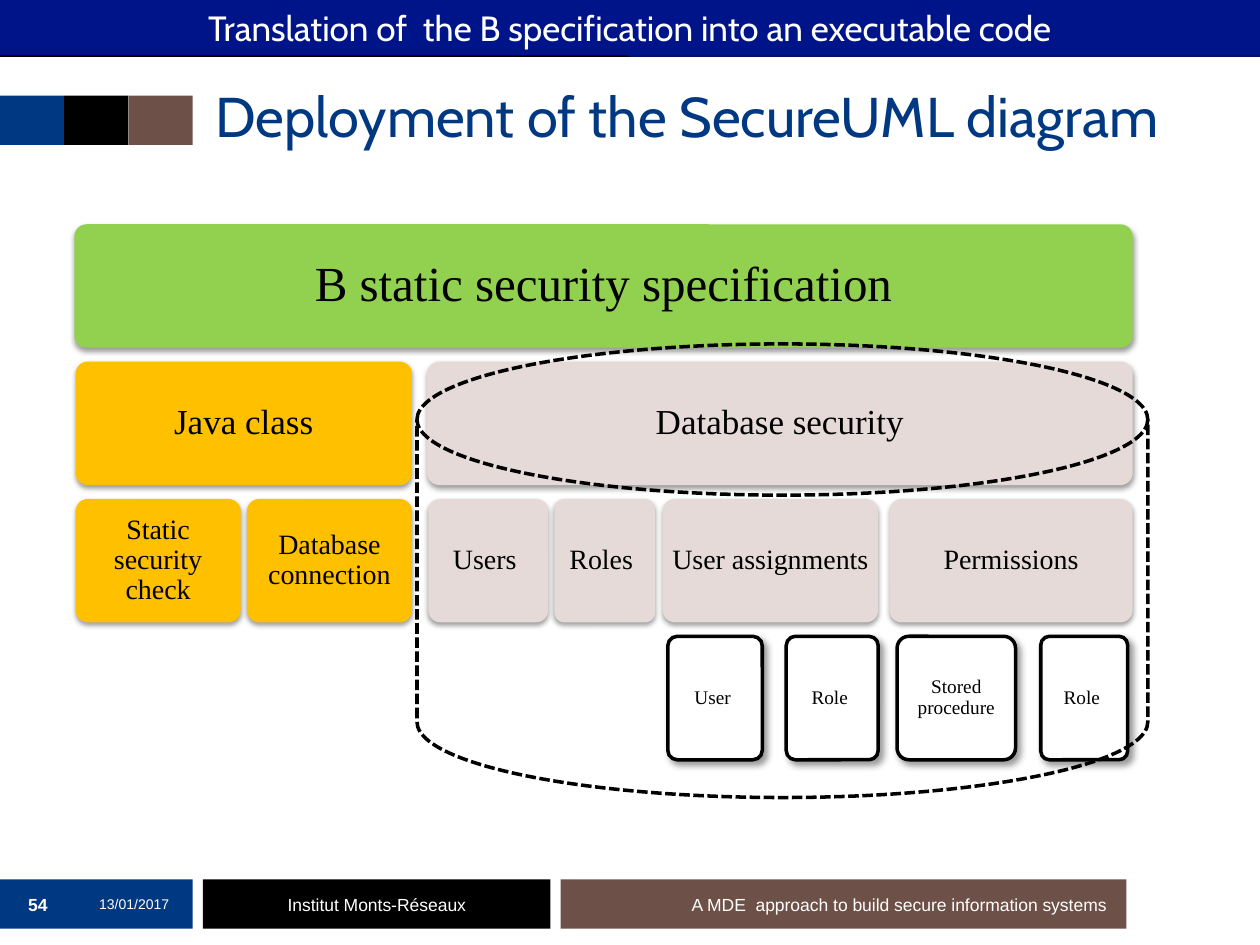
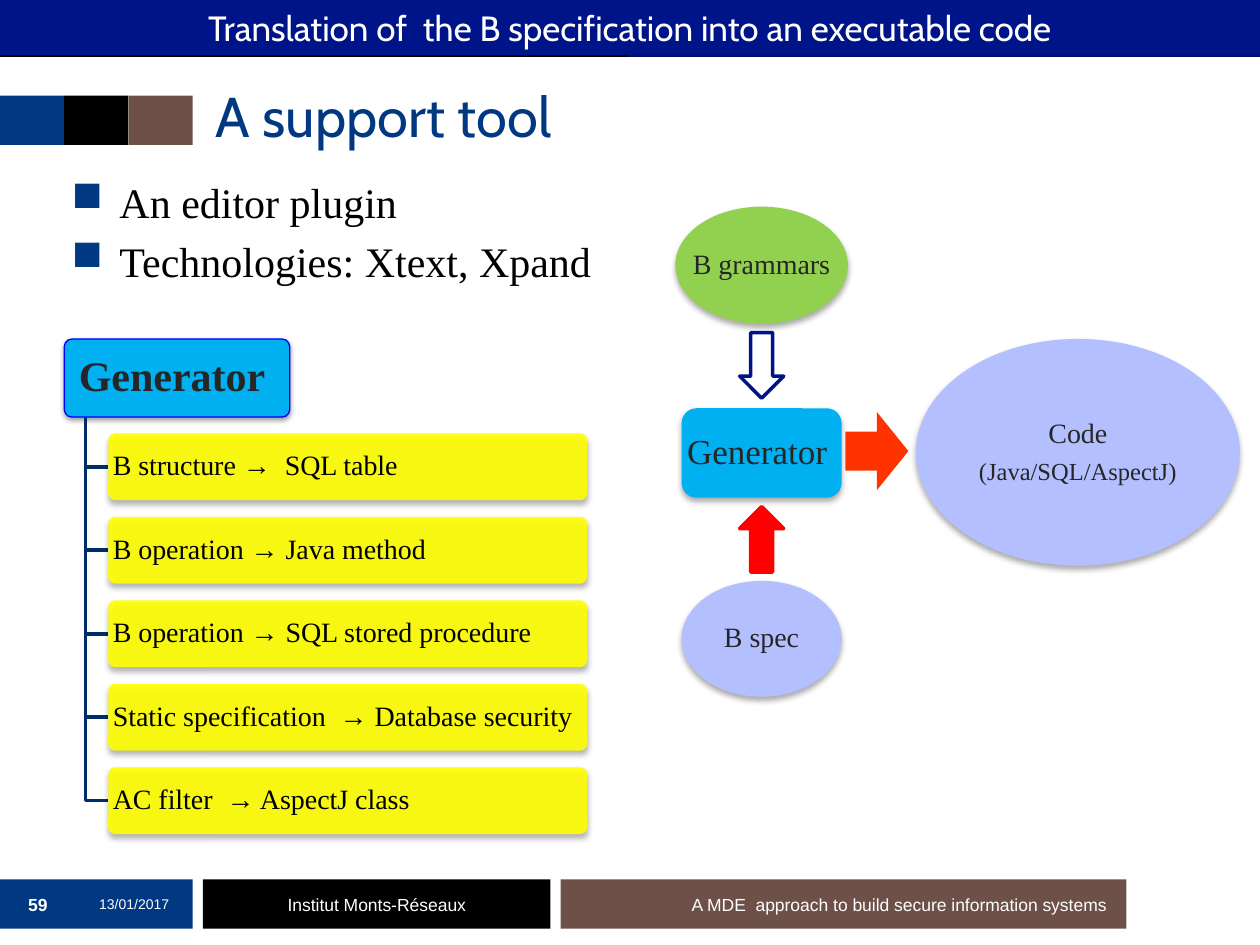
from dataclasses import dataclass, field
from typing import Any, Optional

from lxml.etree import SubElement
from pptx import Presentation
from pptx.dml.color import RGBColor
from pptx.enum.dml import MSO_LINE
from pptx.enum.shapes import MSO_SHAPE
from pptx.enum.text import MSO_ANCHOR, MSO_AUTO_SIZE, PP_ALIGN
from pptx.oxml.ns import qn
from pptx.util import Inches, Pt

# Shared colours and fonts
BLUE = RGBColor(0x00, 0x38, 0x82)
BLACK = RGBColor(0x00, 0x00, 0x00)
BROWN = RGBColor(0x6D, 0x50, 0x47)
WHITE = RGBColor(0xFF, 0xFF, 0xFF)
NAVY = RGBColor(0x00, 0x14, 0x89)
BAND_EDGE = RGBColor(0x00, 0x0F, 0x65)
GREEN = RGBColor(0x92, 0xD0, 0x50)
AMBER = RGBColor(0xFF, 0xC0, 0x00)
ROSE = RGBColor(0xE5, 0xDA, 0xD7)
CYAN = RGBColor(0x00, 0xB0, 0xF0)
EDGE_BLUE = RGBColor(0x00, 0x00, 0xFF)
YELLOW = RGBColor(0xFF, 0xFF, 0x00)
BRANCH_BLUE = RGBColor(0x00, 0x2D, 0x68)
LILAC = RGBColor(0xB4, 0xBF, 0xFF)
RED = RGBColor(0xFF, 0x00, 0x00)
ORANGE = RGBColor(0xFF, 0x33, 0x00)
CHARCOAL = RGBColor(0x26, 0x26, 0x26)
SANS, SERIF, HEADING = "Arial", "Times New Roman", "Cabin"


@dataclass(frozen=True)
class Shadow:
    opacity: int
    blur: float
    distance: float
    angle: int = 90


SOFT = Shadow(38, 3.1, 1.6)
DEEP = Shadow(32, 3.5, 2.2)
SLANTED = Shadow(40, 4, 3, 45)


@dataclass(frozen=True)
class Block:
    """A box with its look and its text; one paragraph per line."""
    left: float
    top: float
    width: float
    height: float
    fill: Optional[RGBColor] = None
    lines: tuple[str, ...] = ()
    sizes: tuple[float, ...] = (16,)
    font: dict[str, Any] = field(default_factory=dict)
    align: PP_ALIGN = PP_ALIGN.CENTER
    kind: MSO_SHAPE = MSO_SHAPE.ROUNDED_RECTANGLE
    corner: Optional[float] = None
    edge: Optional[RGBColor] = None
    edge_width: float = 2
    opacity: int = 100
    shadow: Optional[Shadow] = None
    margin: float = 0.04
    right_margin: Optional[float] = None
    wrap: bool = True
    spacing: float = 0.9


def apply(target: Any, values: dict[str, Any]) -> None:
    for name, value in values.items():
        setattr(target, name, value)


def set_font(font: Any, size: float, color: RGBColor, name: str, bold: bool = False) -> None:
    apply(font, {"size": Pt(size), "name": name, "bold": bold})
    font.color.rgb = color


def cast_shadow(shape: Any, shadow: Shadow) -> None:
    effects = shape.element.spPr.find(qn("a:effectLst"))
    outer = SubElement(effects, qn("a:outerShdw"), blurRad=str(Pt(shadow.blur)),
                       dist=str(Pt(shadow.distance)), dir=str(shadow.angle * 60000),
                       algn="ctr", rotWithShape="0")
    tint = SubElement(outer, qn("a:srgbClr"), val=str(BLACK))
    SubElement(tint, qn("a:alpha"), val=str(shadow.opacity * 1000))


def write(block: Block, frame: Any) -> None:
    margin = Inches(block.margin)
    right = margin if block.right_margin is None else Inches(block.right_margin)
    apply(frame, {"word_wrap": block.wrap, "vertical_anchor": MSO_ANCHOR.MIDDLE,
                  "margin_left": margin, "margin_right": right,
                  "margin_top": margin, "margin_bottom": margin})
    for index, (line, size) in enumerate(zip(block.lines, block.sizes)):
        paragraph = frame.add_paragraph() if index else frame.paragraphs[0]
        is_last = index == len(block.lines) - 1
        apply(paragraph, {"alignment": block.align, "line_spacing": block.spacing,
                          "space_after": Pt(0 if is_last else 0.35 * size)})
        run = paragraph.add_run()
        run.text = line
        set_font(run.font, size, **({"color": BLACK, "name": SERIF} | block.font))


def draw(slide: Any, block: Block) -> Any:
    shape = slide.shapes.add_shape(block.kind, Inches(block.left), Inches(block.top),
                                   Inches(block.width), Inches(block.height))
    shape.shadow.inherit = False
    if block.corner is not None:
        shape.adjustments[0] = block.corner
    if block.fill is None:
        shape.fill.background()
    else:
        shape.fill.solid()
        shape.fill.fore_color.rgb = block.fill
        if block.opacity < 100:
            tint = shape.element.spPr.find(qn("a:solidFill"))[0]
            SubElement(tint, qn("a:alpha"), val=str(block.opacity * 1000))
    if block.edge is None:
        shape.line.fill.background()
    else:
        shape.line.color.rgb = block.edge
        shape.line.width = Pt(block.edge_width)
    if block.shadow:
        cast_shadow(shape, block.shadow)
    if block.lines:
        write(block, shape.text_frame)
    return shape


def add_framed_slide(deck: Any, title: str, number: str) -> Any:
    """Add a slide with the title, bands and footer that all slides share."""
    slide = deck.slides.add_slide(deck.slide_layouts[5])
    plain = {"kind": MSO_SHAPE.RECTANGLE, "margin": 0.05, "spacing": 1}
    white = {"color": WHITE, "name": SANS}
    foot = {"top": 6.98, "height": 0.39, **plain}

    # Top band
    for left, fill, edge in ((0, BLACK, BLACK), (5, BLUE, BAND_EDGE)):
        draw(slide, Block(left, 0, 5, 0.44, fill, edge=edge, **plain))
    draw(slide, Block(0, 0, 10, 0.44, NAVY,
                      ("Translation of  the B specification into an executable code",),
                      (20,), {"color": WHITE, "name": HEADING}, **plain))

    # Title with its three colour squares
    for index, fill in enumerate((BLUE, BLACK, BROWN)):
        draw(slide, Block(index * 0.51, 0.76, 0.51, 0.39, fill, **plain))
    heading = slide.shapes.title
    apply(heading, {"left": Inches(1.61), "top": Inches(0.6),
                    "width": Inches(8.39), "height": Inches(0.63)})
    frame = heading.text_frame
    frame.text = title
    apply(frame, {"auto_size": MSO_AUTO_SIZE.NONE, "vertical_anchor": MSO_ANCHOR.BOTTOM})
    frame.paragraphs[0].alignment = PP_ALIGN.LEFT
    set_font(frame.paragraphs[0].runs[0].font, 32, BLUE, HEADING)

    # Footer
    draw(slide, Block(left=0, width=1.53, fill=BLUE, **foot))
    draw(slide, Block(left=1.61, width=2.76, fill=BLACK, lines=("Institut Monts-Réseaux",),
                      sizes=(10,), font=white, **foot))
    draw(slide, Block(left=4.45, width=4.49, fill=BROWN, sizes=(10,), font=white,
                      lines=("A MDE  approach to build secure information systems",),
                      align=PP_ALIGN.RIGHT, right_margin=0.16, **foot))
    for left, width, text, size, bold in ((0.01, 0.58, number, 10, True),
                                          (0.59, 0.95, "13/01/2017", 8, False)):
        note = Block(left=left, width=width, lines=(text,), sizes=(size,),
                     font=white | {"bold": bold}, **foot)
        box = slide.shapes.add_textbox(Inches(left), Inches(note.top),
                                       Inches(width), Inches(note.height))
        write(note, box.text_frame)
    return slide


def add_deployment_slide(deck: Any) -> None:
    slide = add_framed_slide(deck, "Deployment of the SecureUML diagram", "54")
    row_top, row_pitch = 1.78, 1.09
    leaf = {"fill": WHITE, "edge": BLACK, "shadow": SLANTED}
    # Row, left, width, text, size, look
    parts = (
        (0, 0.59, 8.4, "B static security specification", 28, {"fill": GREEN}),
        (1, 0.6, 2.67, "Java class", 20, {"fill": AMBER}),
        (1, 3.39, 5.6, "Database security", 20, {"fill": ROSE}),
        (2, 0.6, 1.31, "Static security check", 16, {"fill": AMBER}),
        (2, 1.96, 1.31, "Database connection", 16, {"fill": AMBER}),
        (2, 3.4, 0.95, "Users ", 16, {"fill": ROSE}),
        (2, 4.4, 0.8, "Roles ", 16, {"fill": ROSE}),
        (2, 5.26, 1.71, "User assignments", 16, {"fill": ROSE}),
        (2, 7.06, 1.93, "Permissions", 16, {"fill": ROSE}),
        (3, 5.3, 0.75, "User ", 11, leaf),
        (3, 6.24, 0.73, "Role ", 11, leaf),
        (3, 7.12, 0.94, "Stored procedure", 11, leaf),
        (3, 8.26, 0.69, "Role ", 11, leaf),
    )
    for row, left, width, text, size, look in parts:
        draw(slide, Block(left, row_top + row * row_pitch, width, 0.98, lines=(text,),
                          sizes=(size,), corner=0.1, **({"shadow": SOFT} | look)))

    # Dashed database outline
    database = draw(slide, Block(3.31, 2.73, 5.8, 3.6, edge=BLACK,
                                 kind=MSO_SHAPE.FLOWCHART_MAGNETIC_DISK))
    database.line.dash_style = MSO_LINE.SQUARE_DOT


def add_bullets(slide: Any, points: tuple[str, ...]) -> None:
    box = slide.shapes.add_textbox(Inches(0.47), Inches(1.35), Inches(4.8), Inches(1.1))
    box.text_frame.word_wrap = True
    for index, point in enumerate(points):
        paragraph = box.text_frame.add_paragraph() if index else box.text_frame.paragraphs[0]
        paragraph.space_before = Pt(4.8)
        run = paragraph.add_run()
        run.text = point
        set_font(run.font, 24, BLACK, SERIF)
        settings = paragraph._p.get_or_add_pPr()
        settings.set("marL", str(Inches(0.38)))
        settings.set("indent", str(-Inches(0.38)))
        tint = SubElement(settings, qn("a:buClr"))
        SubElement(tint, qn("a:srgbClr"), val=str(BLUE))
        SubElement(settings, qn("a:buChar"), char="■")


def add_translation_tree(slide: Any) -> None:
    rules = ("B structure →  SQL table", "B operation → Java method",
             "B operation → SQL stored procedure",
             "Static specification  → Database security", "AC filter  → AspectJ class")
    trunk_x, trunk_top, left, first_top, last_top, height = 0.68, 3.31, 0.86, 3.44, 6.09, 0.53
    pitch = (last_top - first_top) / (len(rules) - 1)
    draw(slide, Block(0.51, 2.69, 1.79, 0.62, CYAN, ("Generator ",), (24,),
                      {"color": CHARCOAL, "bold": True}, corner=0.1, edge=EDGE_BLUE,
                      edge_width=0.75, shadow=SOFT))
    for index, rule in enumerate(rules):
        top = first_top + index * pitch
        middle = Inches(top + height / 2)
        outline = slide.shapes.build_freeform(Inches(trunk_x), Inches(trunk_top))
        outline.add_line_segments([(Inches(trunk_x), middle), (Inches(left), middle)],
                                  close=False)
        branch = outline.convert_to_shape()
        branch.shadow.inherit = False
        branch.fill.background()
        branch.line.color.rgb = BRANCH_BLUE
        branch.line.width = Pt(2)
        draw(slide, Block(left, top, 3.8, height, YELLOW, (rule,), align=PP_ALIGN.LEFT,
                          corner=0.1, opacity=90, shadow=DEEP, margin=0.02))


def add_tool_flow(slide: Any) -> None:
    node = {"font": {"color": CHARCOAL}, "shadow": DEEP, "margin": 0, "wrap": False}
    oval = node | {"kind": MSO_SHAPE.OVAL}
    flow = (
        Block(5.36, 1.64, 1.37, 0.93, GREEN, ("B grammars",), **oval),
        Block(5.87, 2.64, 0.35, 0.52, WHITE, kind=MSO_SHAPE.DOWN_ARROW, edge=NAVY),
        Block(5.41, 3.24, 1.27, 0.71, CYAN, ("Generator ",), (20,), **node),
        Block(5.87, 4.02, 0.35, 0.52, RED, kind=MSO_SHAPE.UP_ARROW, edge=RED),
        Block(5.41, 4.61, 1.27, 0.92, LILAC, ("B spec",), **oval),
        Block(6.71, 3.27, 0.5, 0.62, ORANGE, kind=MSO_SHAPE.RIGHT_ARROW),
        Block(7.27, 2.69, 2.57, 1.8, LILAC, ("Code", "(Java/SQL/AspectJ)"), (16, 14), **oval),
    )
    for step in flow:
        draw(slide, step)


def add_tool_slide(deck: Any) -> None:
    slide = add_framed_slide(deck, "A support tool", "59")
    add_bullets(slide, ("An editor plugin", "Technologies: Xtext, Xpand"))
    add_translation_tree(slide)
    add_tool_flow(slide)


def main() -> None:
    deck = Presentation()
    deck.slide_width, deck.slide_height = Inches(10), Inches(7.5)
    add_deployment_slide(deck)
    add_tool_slide(deck)
    deck.save("out.pptx")


if __name__ == "__main__":
    main()
